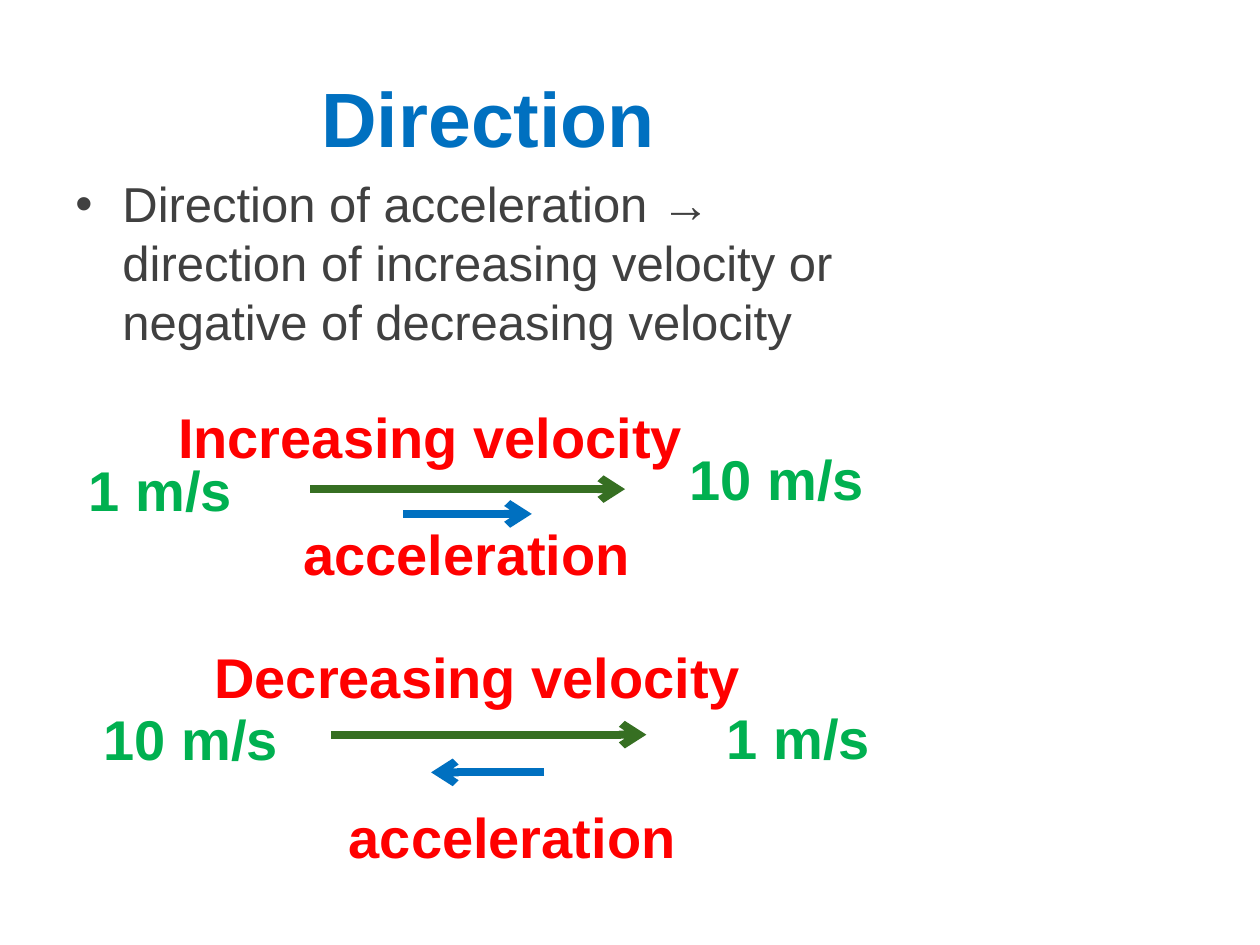
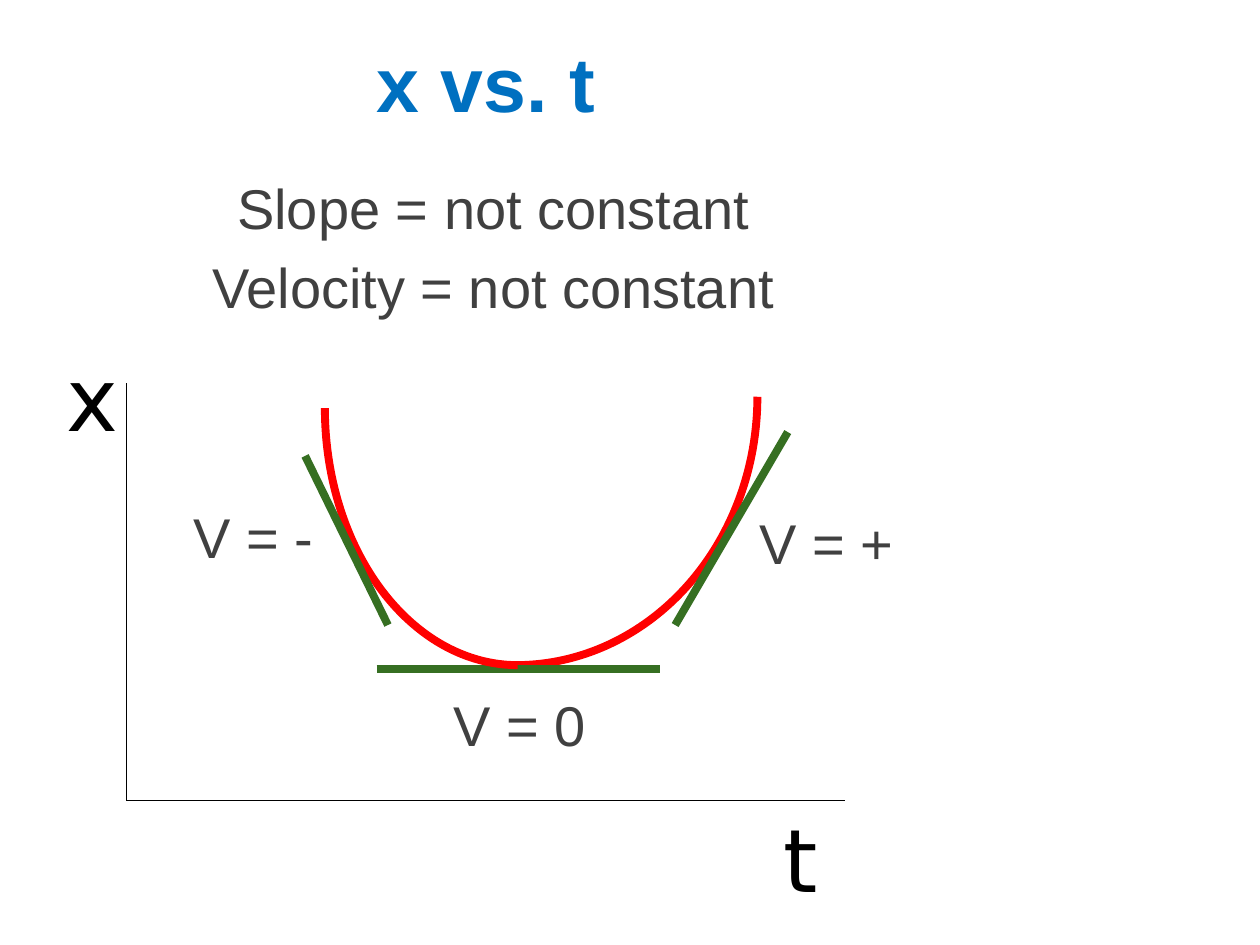
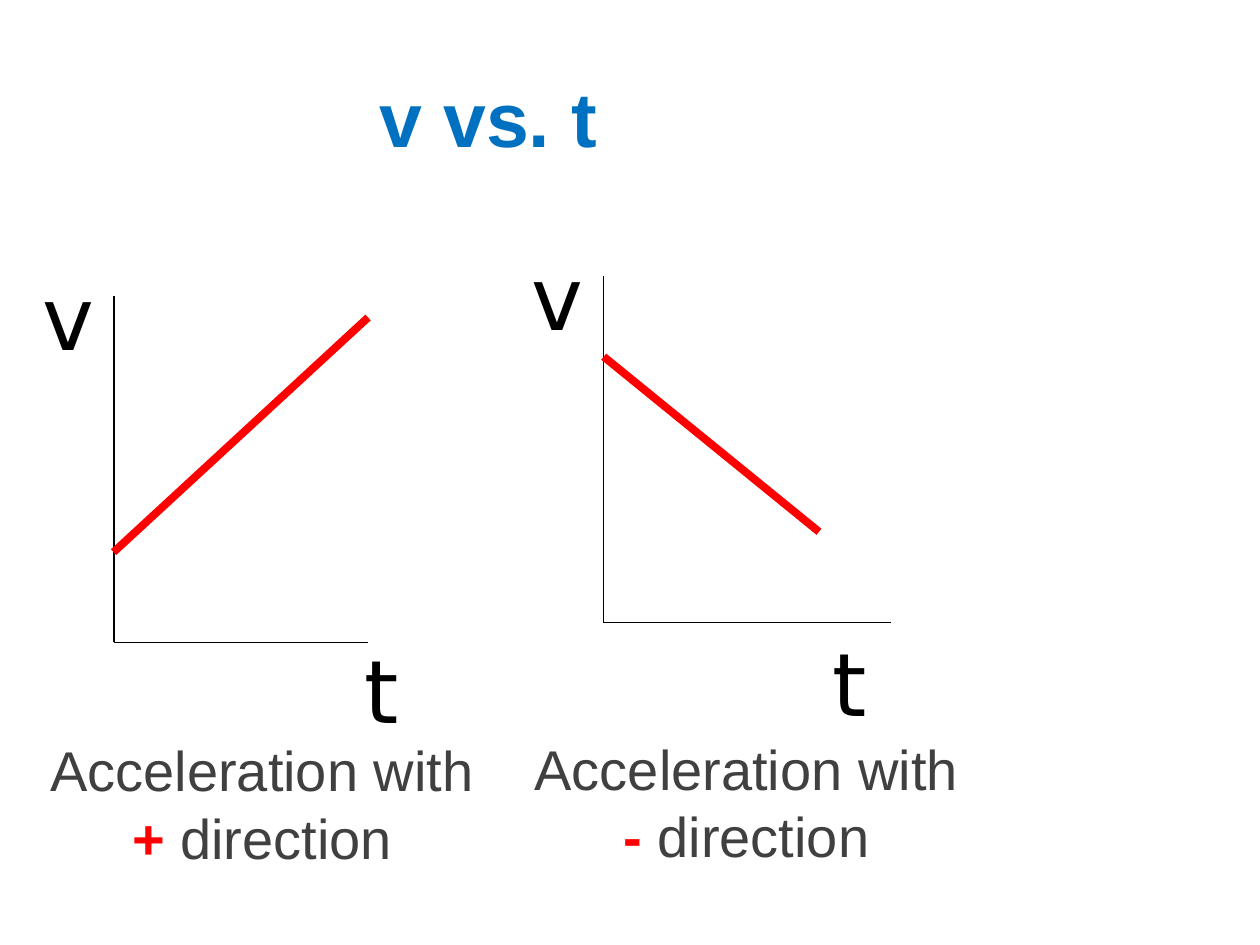
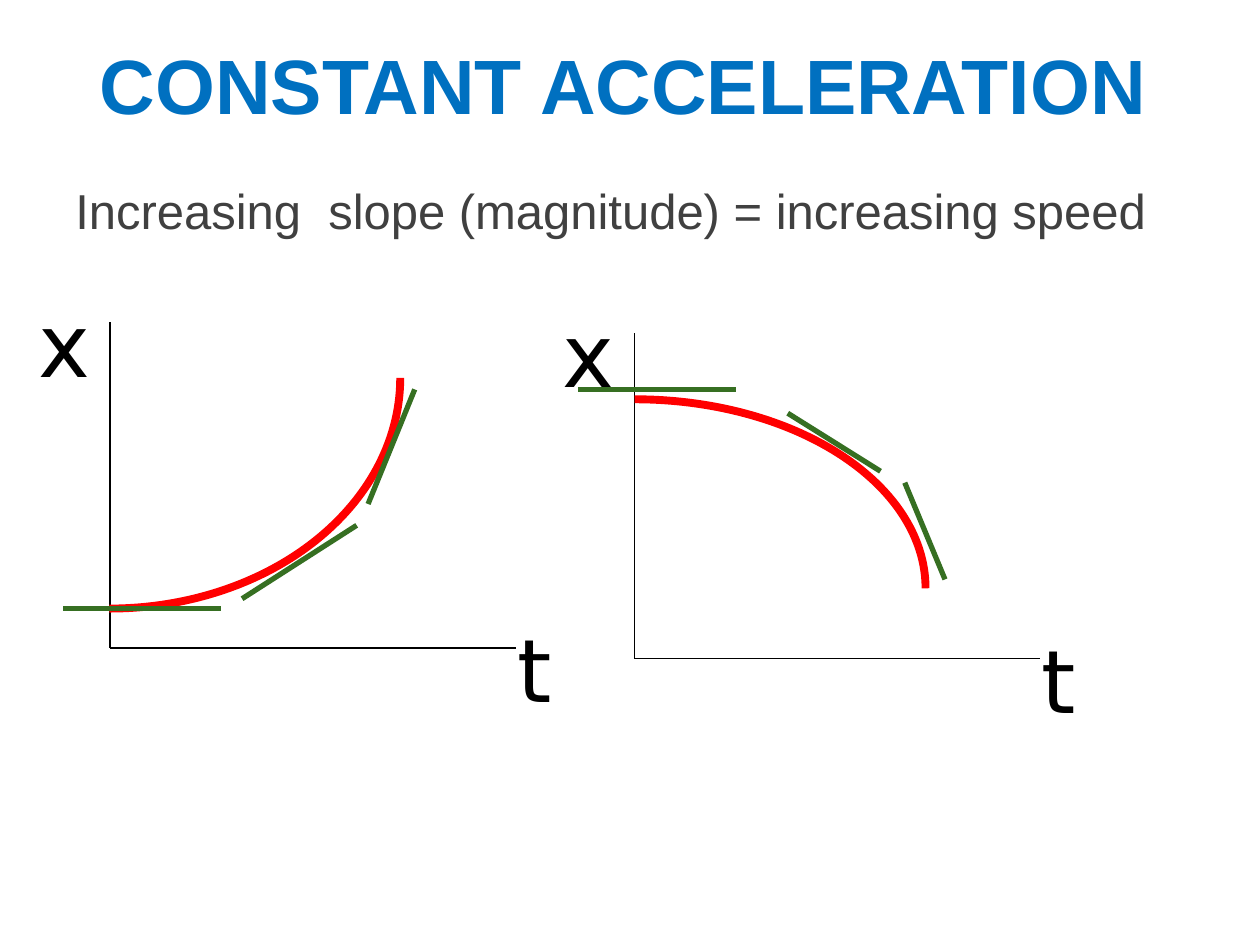
from dataclasses import dataclass, replace
from typing import NamedTuple

from lxml.etree import SubElement
from pptx import Presentation
from pptx.dml.color import RGBColor as Rgb
from pptx.enum.shapes import MSO_CONNECTOR as Link, MSO_SHAPE as Preset
from pptx.enum.text import MSO_ANCHOR as Anchor, PP_ALIGN as Align
from pptx.oxml.ns import qn
from pptx.util import Cm, Pt


# Shared look
@dataclass(frozen=True)
class Theme:
    blue: str = "0070C0"
    red: str = "FF0000"
    green: str = "00B050"
    dark_green: str = "366F22"
    grey: str = "404040"
    black: str = "000000"
    white: str = "FFFFFF"
    font: str = "Arial"
    axis_font: str = "DejaVu Sans"
    title_size: float = 44
    label_size: float = 32
    body_size: float = 28
    axis_size: float = 50
    paragraph_gap: float = 6.4
    thick: float = 4.5
    medium: float = 3
    thin: float = 0.75


THEME = Theme()


@dataclass(frozen=True)
class TextStyle:
    size: float
    color: str
    bold: bool = False
    font: str = THEME.font
    align: Align = Align.LEFT
    anchor: Anchor = Anchor.TOP


TITLE = TextStyle(THEME.title_size, THEME.blue, True, align=Align.CENTER, anchor=Anchor.MIDDLE)
NAME = replace(TITLE, size=THEME.label_size, color=THEME.red)
SPEED = replace(NAME, color=THEME.green)
BODY = TextStyle(THEME.body_size, THEME.grey)
LABEL = replace(BODY, size=THEME.label_size)
CENTERED = replace(LABEL, align=Align.CENTER)
ACCENT = replace(CENTERED, color=THEME.red, bold=True)
AXIS = TextStyle(THEME.axis_size, THEME.black, font=THEME.axis_font)


# Elements, all lengths in centimetres
class Point(NamedTuple):
    x: float
    y: float


class Area(NamedTuple):
    left: float
    top: float
    width: float
    height: float

    def lengths(self) -> list:
        return [Cm(value) for value in self]


class Stroke(NamedTuple):
    start: Point
    end: Point
    color: str = THEME.dark_green
    width: float = THEME.thick
    arrow: bool = False


class Arc(NamedTuple):
    area: Area
    flips: tuple = ()


class Graph(NamedTuple):
    origin: Point
    top: float
    right: float
    vertical_name: str
    vertical_spot: Point
    time_spot: Point


class Motion(NamedTuple):
    name: str
    name_area: Area
    speeds: tuple
    velocity: tuple
    acceleration: tuple
    acceleration_spot: Point


TITLE_AREA = Area(1.27, 0.76, 17.15, 3.18)


# Text
def style_run(run, style: TextStyle) -> None:
    run.font.name = style.font
    run.font.size = Pt(style.size)
    run.font.bold = style.bold
    run.font.color.rgb = Rgb.from_string(style.color)


def style_frame(frame, style: TextStyle) -> None:
    frame.word_wrap = True
    frame.vertical_anchor = style.anchor
    for index, para in enumerate(frame.paragraphs):
        para.alignment = style.align
        if index:
            para.space_before = Pt(THEME.paragraph_gap)
        for run in para.runs:
            style_run(run, style)


def add_text(page, area: Area, text: str, style: TextStyle):
    box = page.shapes.add_textbox(*area.lengths())
    box.text_frame.text = text
    style_frame(box.text_frame, style)
    return box


def add_bullet(para, indent: float) -> None:
    props = para._p.get_or_add_pPr()
    props.set("marL", str(Cm(indent)))
    props.set("indent", str(-Cm(indent)))
    SubElement(props, qn("a:buFont"), typeface=THEME.font)
    SubElement(props, qn("a:buChar"), char="•")


def add_caption(page, area: Area, sign: str) -> None:
    box = add_text(page, area, "Acceleration with ", CENTERED)
    para = box.text_frame.paragraphs[0]
    for text, style in ((sign, ACCENT), (" direction", CENTERED)):
        run = para.add_run()
        run.text = text
        style_run(run, style)


def fill_white(shape) -> None:
    shape.fill.solid()
    shape.fill.fore_color.rgb = Rgb.from_string(THEME.white)


def add_page(deck, title: str, area: Area = TITLE_AREA):
    page = deck.slides.add_slide(deck.slide_layouts[5])
    box = page.shapes.title
    box.left, box.top, box.width, box.height = area.lengths()
    box.text_frame.text = title
    style_frame(box.text_frame, TITLE)
    return page


# Lines and curves
def add_stroke(page, stroke: Stroke) -> None:
    ends = [Cm(value) for value in (*stroke.start, *stroke.end)]
    connector = page.shapes.add_connector(Link.STRAIGHT, *ends)
    connector.line.color.rgb = Rgb.from_string(stroke.color)
    connector.line.width = Pt(stroke.width)
    props = connector._element.spPr
    if stroke.arrow:
        SubElement(props.find(qn("a:ln")), qn("a:tailEnd"), type="arrow")
    SubElement(props, qn("a:effectLst"))


def add_arc(page, arc: Arc) -> None:
    shape = page.shapes.add_shape(Preset.ARC, *arc.area.lengths())
    shape.shadow.inherit = False
    shape.fill.background()
    shape.line.color.rgb = Rgb.from_string(THEME.red)
    shape.line.width = Pt(THEME.thick)
    for flip in arc.flips:
        shape._element.spPr.find(qn("a:xfrm")).set(flip, "1")


def add_marks(page, marks: tuple) -> None:
    """Draw strokes and arcs from back to front."""
    for mark in marks:
        if isinstance(mark, Arc):
            add_arc(page, mark)
        else:
            add_stroke(page, mark)


def add_graph(page, graph: Graph) -> None:
    for end in (Point(graph.origin.x, graph.top), Point(graph.right, graph.origin.y)):
        add_stroke(page, Stroke(graph.origin, end, THEME.black, THEME.thin))
    labels = ((graph.vertical_name, graph.vertical_spot), ("t", graph.time_spot))
    for name, spot in labels:
        add_text(page, Area(*spot, 1.47, 2.39), name, AXIS)


def tangent(x1: float, y1: float, x2: float, y2: float, width: float = THEME.medium) -> Stroke:
    return Stroke(Point(x1, y1), Point(x2, y2), width=width)


def add_motion(page, motion: Motion) -> None:
    add_text(page, motion.name_area, motion.name, NAME)
    add_text(page, Area(*motion.acceleration_spot, 11, 2.36), "acceleration", NAME)
    for text, spot in motion.speeds:
        add_text(page, Area(*spot, 4.65, 2.36), text, SPEED)
    arrows = ((motion.velocity, THEME.dark_green), (motion.acceleration, THEME.blue))
    for (start, end), color in arrows:
        add_stroke(page, Stroke(start, end, color, arrow=True))


# Slides
def direction_slide(deck) -> None:
    page = add_page(deck, "Direction")
    body = add_text(
        page,
        Area(1.27, 3.38, 17.15, 4.01),
        "Direction of acceleration → direction of increasing velocity "
        "or negative of decreasing velocity",
        BODY,
    )
    add_bullet(body.text_frame.paragraphs[0], 0.95)
    motions = (
        Motion(
            "Increasing velocity",
            Area(3.18, 7.62, 11, 2.36),
            (("1 m/s", Point(0.91, 8.69)), ("10 m/s", Point(13.34, 8.46))),
            (Point(6.25, 9.86), Point(12.6, 9.86)),
            (Point(8.13, 10.36), Point(10.72, 10.36)),
            Point(3.91, 9.98),
        ),
        Motion(
            "Decreasing velocity",
            Area(3.18, 12.45, 12.9, 2.36),
            (("10 m/s", Point(1.52, 13.69)), ("1 m/s", Point(13.77, 13.67))),
            (Point(6.68, 14.81), Point(13.03, 14.81)),
            (Point(10.97, 15.57), Point(8.69, 15.57)),
            Point(4.83, 15.67),
        ),
    )
    for motion in motions:
        add_motion(page, motion)


def position_slide(deck) -> None:
    page = add_page(deck, "x vs. t", TITLE_AREA._replace(left=1.22, top=0.05))
    add_graph(page, Graph(Point(2.55, 16.13), 7.72, 17.04, "x",
                          Point(1.09, 6.81), Point(15.54, 16.1)))
    add_marks(page, (
        Arc(Area(5.54, 2.59, 9.73, 10.82), ("flipV",)),
        tangent(7.59, 13.49, 13.31, 13.49, THEME.thick),
        tangent(13.61, 12.6, 15.88, 8.71, THEME.thick),
        Arc(Area(6.55, 3.05, 7.77, 10.36), ("flipH", "flipV")),
        tangent(7.82, 12.6, 6.15, 9.19, THEME.thick),
    ))
    slopes = (
        ("V = 0", Point(8.89, 13.79)),
        ("V = +", Point(15.06, 10.13)),
        ("V = -", Point(3.66, 10.01)),
    )
    for text, spot in slopes:
        add_text(page, Area(*spot, 3.94, 1.9), text, LABEL)
    add_text(page, Area(0.97, 3.38, 17.96, 3.43),
             "Slope = not constant\nVelocity = not constant", CENTERED)


def velocity_slide(deck) -> None:
    page = add_page(deck, "v vs. t")
    add_graph(page, Graph(Point(2.3, 12.95), 5.97, 7.42, "v",
                          Point(0.61, 5.18), Point(7.09, 12.7)))
    add_graph(page, Graph(Point(12.16, 12.55), 5.56, 17.96, "v",
                          Point(10.46, 4.78), Point(16.54, 12.55)))
    add_marks(page, (
        Stroke(Point(7.42, 6.4), Point(2.29, 11.13), THEME.red),
        Stroke(Point(12.17, 7.19), Point(16.51, 10.72), THEME.red),
    ))
    add_caption(page, Area(0.61, 14.71, 9.35, 2.97), "+")
    add_caption(page, Area(10.34, 14.68, 9.42, 3.3), "-")


def acceleration_slide(deck) -> None:
    page = add_page(deck, "CONSTANT ACCELERATION", Area(1.14, 0.64, 22.86, 2.11))
    body = add_text(page, Area(1.27, 3.51, 22.43, 2.18),
                    "Increasing  slope (magnitude) = increasing speed", BODY)
    for box in (page.shapes.title, body):
        fill_white(box)
    # Rising curve
    add_graph(page, Graph(Point(2.22, 13.06), 6.5, 10.41, "x",
                          Point(0.53, 5.72), Point(10.19, 12.27)))
    add_marks(page, (
        Arc(Area(-3.66, 2.97, 11.73, 9.3), ("flipV",)),
        tangent(1.27, 12.27, 4.45, 12.27),
        tangent(4.88, 12.07, 7.19, 10.59),
        tangent(7.42, 10.16, 8.36, 7.85),
    ))
    # Falling curve
    add_graph(page, Graph(Point(12.79, 13.27), 6.71, 20.96, "x",
                          Point(11.1, 5.92), Point(20.75, 12.5)))
    add_marks(page, (
        tangent(11.66, 7.85, 14.83, 7.85),
        tangent(19.05, 11.68, 18.24, 9.73),
        tangent(17.75, 9.5, 15.88, 8.33),
        Arc(Area(6.93, 8.05, 11.73, 7.62)),
    ))


def main() -> None:
    deck = Presentation()
    deck.slide_width, deck.slide_height = Cm(25.4), Cm(19.05)
    for build in (direction_slide, position_slide, velocity_slide, acceleration_slide):
        build(deck)
    deck.save("out.pptx")


if __name__ == "__main__":
    main()
